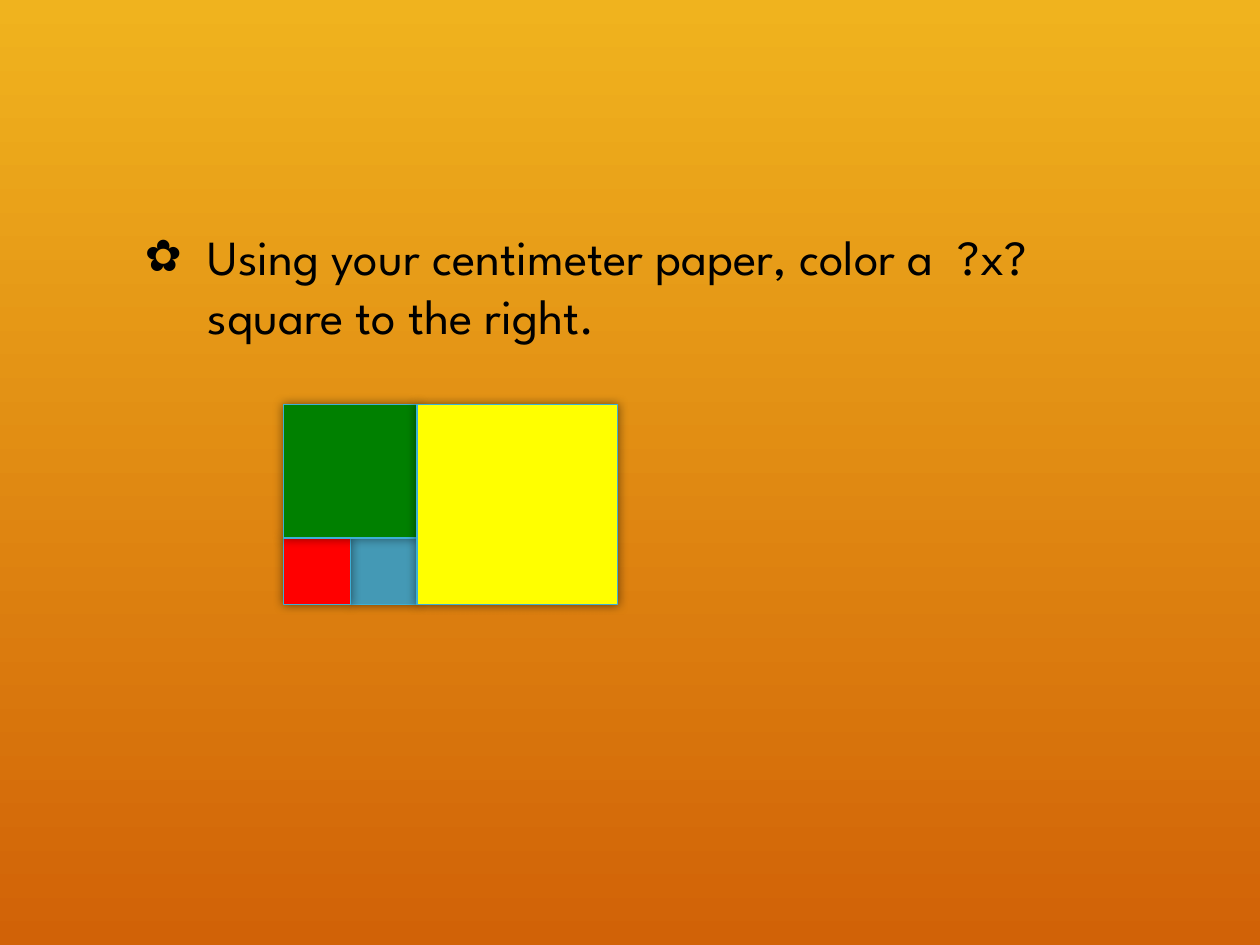
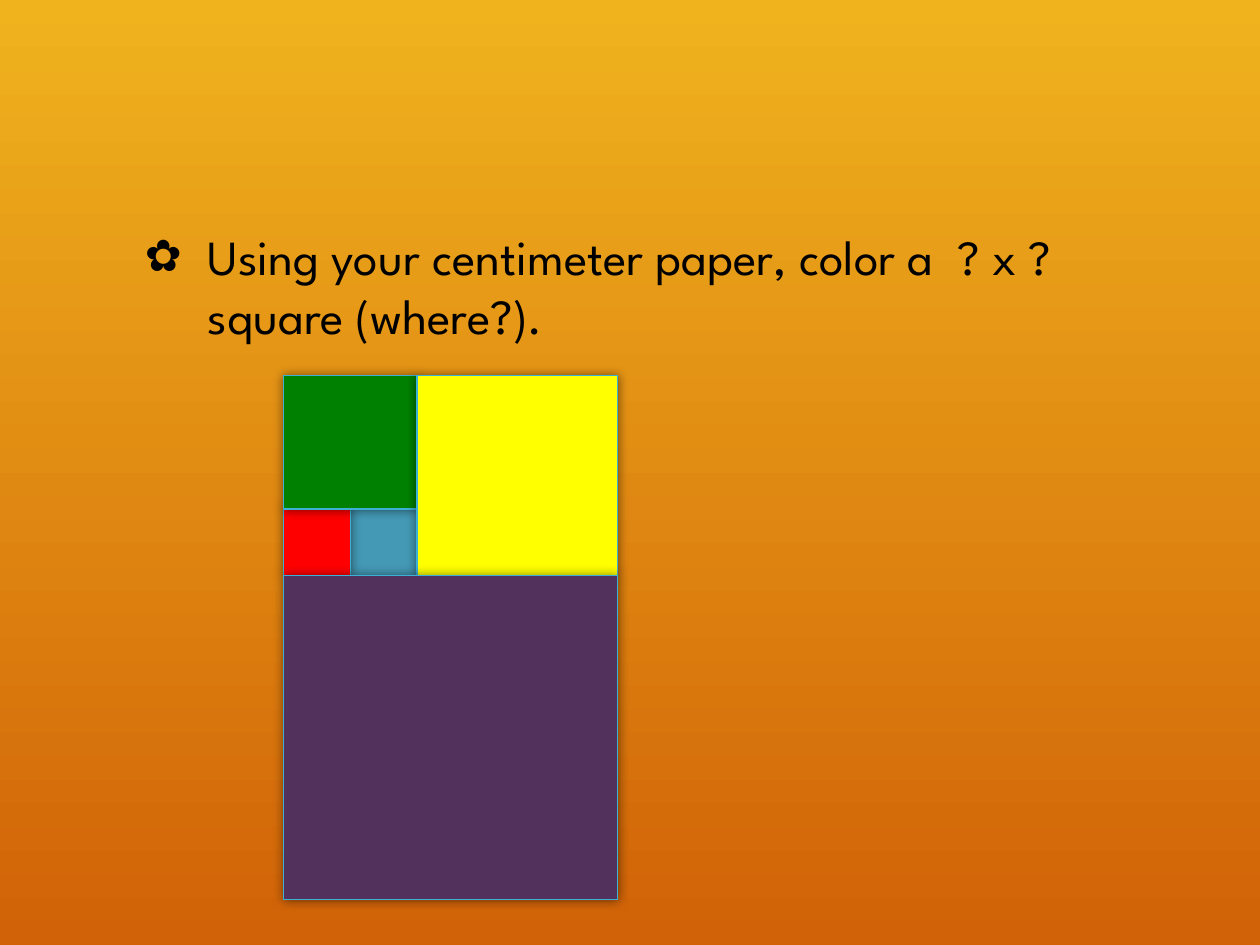
from collections import namedtuple

from lxml.etree import SubElement
from pptx import Presentation
from pptx.dml.color import RGBColor
from pptx.enum.shapes import MSO_SHAPE as Preset
from pptx.enum.text import MSO_ANCHOR as Anchor, MSO_AUTO_SIZE as AutoSize
from pptx.oxml.ns import qn
from pptx.util import Inches, Pt

Box = namedtuple("Box", "left top width height")
Square = namedtuple("Square", "col row cols rows color")

GOLD = RGBColor(0xF0, 0xB3, 0x1E)
RUST = RGBColor(0xD1, 0x62, 0x07)
BLACK = RGBColor(0x00, 0x00, 0x00)
EDGE = RGBColor(0x3D, 0xB0, 0xD6)
BLUE = RGBColor(0x44, 0x99, 0xB5)
RED = RGBColor(0xFF, 0x00, 0x00)
GREEN = RGBColor(0x00, 0x80, 0x00)
YELLOW = RGBColor(0xFF, 0xFF, 0x00)
PURPLE = RGBColor(0x53, 0x31, 0x5D)

SLIDE_WIDTH, SLIDE_HEIGHT = Inches(10), Inches(7.5)
CELL = Inches(0.53)
SPIRAL_LEFT = Inches(2.25)
INSTRUCTION_BOX = Box(Inches(1.05), Inches(1.75), Inches(7.91), Inches(4.69))
INSTRUCTION_FONT = {"name": "League Spartan", "size": Pt(28), "bold": False}
INSTRUCTION_FRAME = {
    "word_wrap": True,
    "auto_size": AutoSize.NONE,
    "vertical_anchor": Anchor.TOP,
}

# Fibonacci squares in grid cells, from back to front
FIRST_FOUR = [
    Square(1, 2, 1, 1, BLUE),
    Square(0, 2, 1, 1, RED),
    Square(0, 0, 2, 2, GREEN),
    Square(2, 0, 3, 3, YELLOW),
]
FIFTH = Square(0, 3, 5, 4.85, PURPLE)

STEPS = [
    ("Using your centimeter paper, color a  ?x? square to the right.",
     Inches(3.21), FIRST_FOUR),
    ("Using your centimeter paper, color a  ? x ? square (where?).",
     Inches(2.98), FIRST_FOUR + [FIFTH]),
]


def apply_format(target, values):
    for name, value in values.items():
        setattr(target, name, value)


def paint_background(slide):
    fill = slide.background.fill
    fill.gradient()
    fill.gradient_angle = 270
    for stop, color in zip(fill.gradient_stops, (GOLD, RUST)):
        stop.color.rgb = color


def add_flower_bullet(paragraph):
    properties = paragraph._p.get_or_add_pPr()
    properties.set("marL", str(Inches(0.5)))
    properties.set("indent", str(-Inches(0.5)))
    SubElement(properties, qn("a:buSzPct")).set("val", "90000")
    SubElement(properties, qn("a:buChar")).set("char", "✿")


def write_instruction(placeholder, box, wording):
    apply_format(placeholder, box._asdict())
    frame = placeholder.text_frame
    apply_format(frame, INSTRUCTION_FRAME)
    paragraph = frame.paragraphs[0]
    paragraph.space_before = Pt(0)
    add_flower_bullet(paragraph)
    run = paragraph.add_run()
    run.text = wording
    apply_format(run.font, INSTRUCTION_FONT)
    run.font.color.rgb = BLACK


def add_glow_shadow(shape):
    """Give the shape a soft, half-transparent shadow with no offset."""
    shape.shadow.inherit = False
    effects = shape._element.spPr.find(qn("a:effectLst"))
    shadow = SubElement(effects, qn("a:outerShdw"), blurRad=str(Pt(6)), dist="0")
    color = SubElement(shadow, qn("a:srgbClr"), val=str(BLACK))
    SubElement(color, qn("a:alpha"), val="50000")


def draw_spiral(slide, left, top, squares):
    for square in squares:
        tile = slide.shapes.add_shape(
            Preset.RECTANGLE,
            left + round(square.col * CELL), top + round(square.row * CELL),
            round(square.cols * CELL), round(square.rows * CELL))
        tile.fill.solid()
        tile.fill.fore_color.rgb = square.color
        tile.line.color.rgb = EDGE
        tile.line.width = Pt(0.75)
        add_glow_shadow(tile)


def add_step_slide(deck, wording, spiral_top, squares):
    slide = deck.slides.add_slide(deck.slide_layouts[1])
    heading = slide.shapes.title._element
    heading.getparent().remove(heading)
    paint_background(slide)
    write_instruction(slide.placeholders[1], INSTRUCTION_BOX, wording)
    draw_spiral(slide, SPIRAL_LEFT, spiral_top, squares)


def main():
    deck = Presentation()
    deck.slide_width, deck.slide_height = SLIDE_WIDTH, SLIDE_HEIGHT
    for step in STEPS:
        add_step_slide(deck, *step)
    deck.save("out.pptx")


if __name__ == "__main__":
    main()
